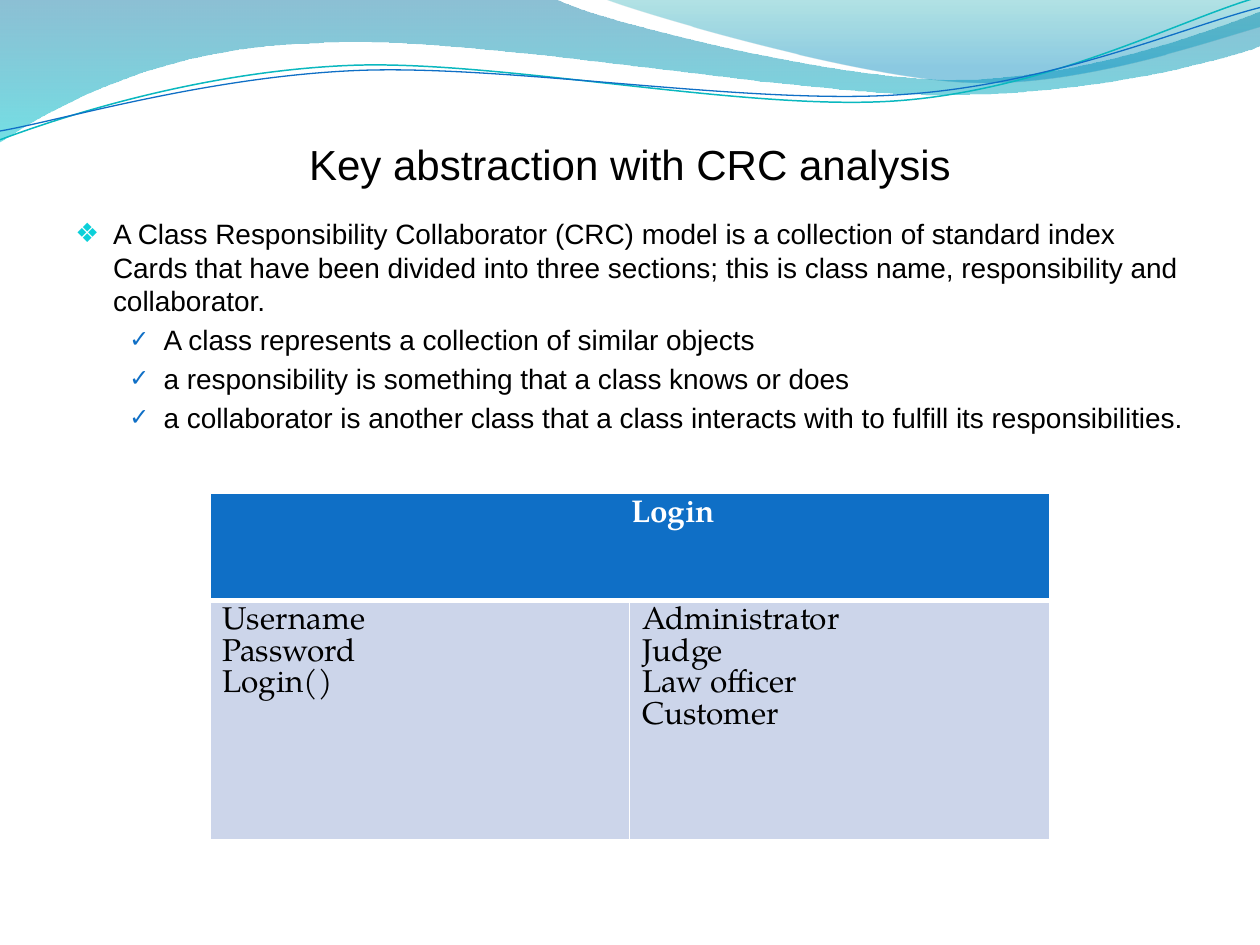
from pptx import Presentation
from pptx.util import Cm, Pt
from pptx.dml.color import RGBColor
from pptx.enum.text import PP_ALIGN, MSO_ANCHOR
from pptx.oxml.ns import qn
from lxml.etree import Element, SubElement

INK = {"black": "000000", "white": "FFFFFF", "blue": "0F6FC6",
       "cyan": "0BD0D9", "teal": "0AB8BF", "pale": "CCD5EA"}
TITLE = "Key abstraction with CRC analysis"
BODY = [
    (0, "A Class Responsibility Collaborator (CRC) model is a collection of standard index "
        "Cards that have been divided into three sections; this is class name, "
        "responsibility and collaborator."),
    (1, "A class represents a collection of similar objects"),
    (1, "a responsibility is something that a class knows or does"),
    (1, "a collaborator is another class that a class interacts with to fulfill its "
        "responsibilities."),
]
BULLETS = [("❖", "cyan", 95, 0.76, 0.76), ("✓", "blue", 85, 1.78, 0.69)]
HEAD = "Login"
CELLS = [["Username", "Password", "Login()"],
         ["Administrator", "Judge", "Law officer", "Customer"]]
EDGES = [{"L": 1, "R": 1, "T": 1, "B": 3}, {"L": 1, "R": 1, "B": 1}]
BANDS = [
    ([(0, 0), (4.4, -0.01),
      (4.76, 0.17, 6.64, 0.63, 7.58, 0.63), (8.53, 0.63, 9.58, 0.26, 10, 0.09),
      (10.01, 0.36),
      (9.83, 0.44, 8.7, 0.76, 7.46, 0.75), (6.22, 0.75, 3.82, 0.28, 2.57, 0.34),
      (1.29, 0.36, 0.46, 0.83, -0.01, 1.13)],
     [(0, "0074A1", 45), (1, "00C6CF", 55)]),
    ([(4.79, -0.01), (5.09, 0.11, 6.82, 0.62, 7.69, 0.65),
      (8.56, 0.69, 9.61, 0.32, 10, 0.21), (10, 0)],
     [(0, "00A1A9", 30), (0.8, "008BBF", 45)]),
]
WAVES = [
    ([(0, 1.11), (0.48, 0.93, 1.58, 0.57, 2.77, 0.52),
      (3.95, 0.47, 5.93, 0.89, 7.13, 0.8), (8.33, 0.71, 9.38, 0.15, 9.98, -0.02)],
     "teal", 0.85),
    ([(0, 1.04), (0.47, 0.96, 1.64, 0.61, 2.83, 0.56),
      (4.03, 0.51, 5.97, 0.84, 7.17, 0.75), (8.36, 0.67, 9.41, 0.21, 10, 0.06)],
     "blue", 0.75),
]


def rgb(name):
    return RGBColor.from_string(INK.get(name, name))


def inch(value):
    return Cm(value * 2.54)


def draw(shapes, parts, close):
    dots = [(inch(part[-2]), inch(part[-1])) for part in parts]
    pen = shapes.build_freeform(*dots[0])
    pen.add_line_segments(dots[1:], close=close)
    shape = pen.convert_to_shape()
    shape.shadow.inherit = False
    lines = list(shape._element.iter(qn("a:lnTo")))
    for line, part in zip(lines, parts[1:]):
        if len(part) == 2:
            continue
        curve = Element(qn("a:cubicBezTo"))
        for x, y in zip(part[::2], part[1::2]):
            SubElement(curve, qn("a:pt"), x=str(inch(x) - shape.left),
                       y=str(inch(y) - shape.top))
        line.getparent().replace(line, curve)
    return shape


def band(shapes, parts, stops):
    shape = draw(shapes, parts, True)
    shape.line.fill.background()
    shape.fill.gradient()
    shape.fill.gradient_angle = 270
    for stop, (pos, tone, alpha) in zip(shape.fill.gradient_stops, stops):
        stop.position = pos
        stop.color.rgb = rgb(tone)
    tags = shape._element.spPr.iter(qn("a:srgbClr"))
    for tag, (pos, tone, alpha) in zip(tags, stops):
        SubElement(tag, qn("a:alpha"), val=str(alpha * 1000))


def wave(shapes, parts, tone, width):
    shape = draw(shapes, parts, False)
    shape.fill.background()
    shape.line.color.rgb = rgb(tone)
    shape.line.width = Pt(width)


def style(para, size, face, tone, bold=False):
    font = para.font
    font.size, font.name, font.bold = Pt(size), face, bold
    font.color.rgb = rgb(tone)


def bullet(para, mark, tone, size, left, hang):
    props = para._p.get_or_add_pPr()
    props.set("marL", str(Cm(left)))
    props.set("indent", str(-Cm(hang)))
    color = SubElement(props, qn("a:buClr"))
    SubElement(color, qn("a:srgbClr"), val=INK[tone])
    SubElement(props, qn("a:buSzPct"), val=str(size * 1000))
    SubElement(props, qn("a:buFont"), typeface="Arial")
    SubElement(props, qn("a:buChar"), char=mark)


def write(cell, lines, fill, tone, bold=False):
    cell.fill.solid()
    cell.fill.fore_color.rgb = rgb(fill)
    frame = cell.text_frame
    frame.text = "\n".join(lines)
    for para in frame.paragraphs:
        style(para, 18, "TeX Gyre Pagella", tone, bold)


def edge(cell, sides):
    props = cell._tc.get_or_add_tcPr()
    for n, (side, width) in enumerate(sides.items()):
        line = Element(qn("a:ln" + side), w=str(Pt(width)))
        fill = SubElement(line, qn("a:solidFill"))
        SubElement(fill, qn("a:srgbClr"), val=INK["white"])
        props.insert(n, line)


def main():
    deck = Presentation()
    deck.slide_width, deck.slide_height = Cm(25.4), Cm(19.05)
    slide = deck.slides.add_slide(deck.slide_layouts[5])
    shapes = slide.shapes
    for row in BANDS:
        band(shapes, *row)
    for row in WAVES:
        wave(shapes, *row)

    title = shapes.title
    title.left, title.top, title.width, title.height = Cm(1.27), Cm(1.96), Cm(22.86), Cm(1.85)
    frame = title.text_frame
    frame.text = TITLE
    frame.vertical_anchor = MSO_ANCHOR.BOTTOM
    frame.margin_left = frame.margin_right = frame.margin_bottom = 0
    para = frame.paragraphs[0]
    para.alignment = PP_ALIGN.CENTER
    style(para, 24, "Arial", "black")

    frame = shapes.add_textbox(Cm(1.27), Cm(4.24), Cm(22.86), Cm(13.34)).text_frame
    frame.word_wrap = True
    for n, (level, text) in enumerate(BODY):
        para = frame.add_paragraph() if n else frame.paragraphs[0]
        para.text, para.level, para.space_before = text, level, Pt(3)
        bullet(para, *BULLETS[level])
        style(para, 16, "Arial", "black")

    table = shapes.add_table(2, 2, Cm(4.23), Cm(9.95), Cm(16.93), Cm(6.98)).table
    table.horz_banding = False
    table.rows[0].height, table.rows[1].height = Cm(2.15), Cm(4.83)
    head = table.cell(0, 0)
    head.merge(table.cell(0, 1))
    write(head, [HEAD], "blue", "white", True)
    head.margin_left = Cm(2)
    head.text_frame.paragraphs[0].alignment = PP_ALIGN.CENTER
    for n, lines in enumerate(CELLS):
        write(table.cell(1, n), lines, "pale", "black")
    for row, sides in zip(table.rows, EDGES):
        for cell in row.cells:
            edge(cell, sides)
    deck.save("out.pptx")


if __name__ == "__main__":
    main()
